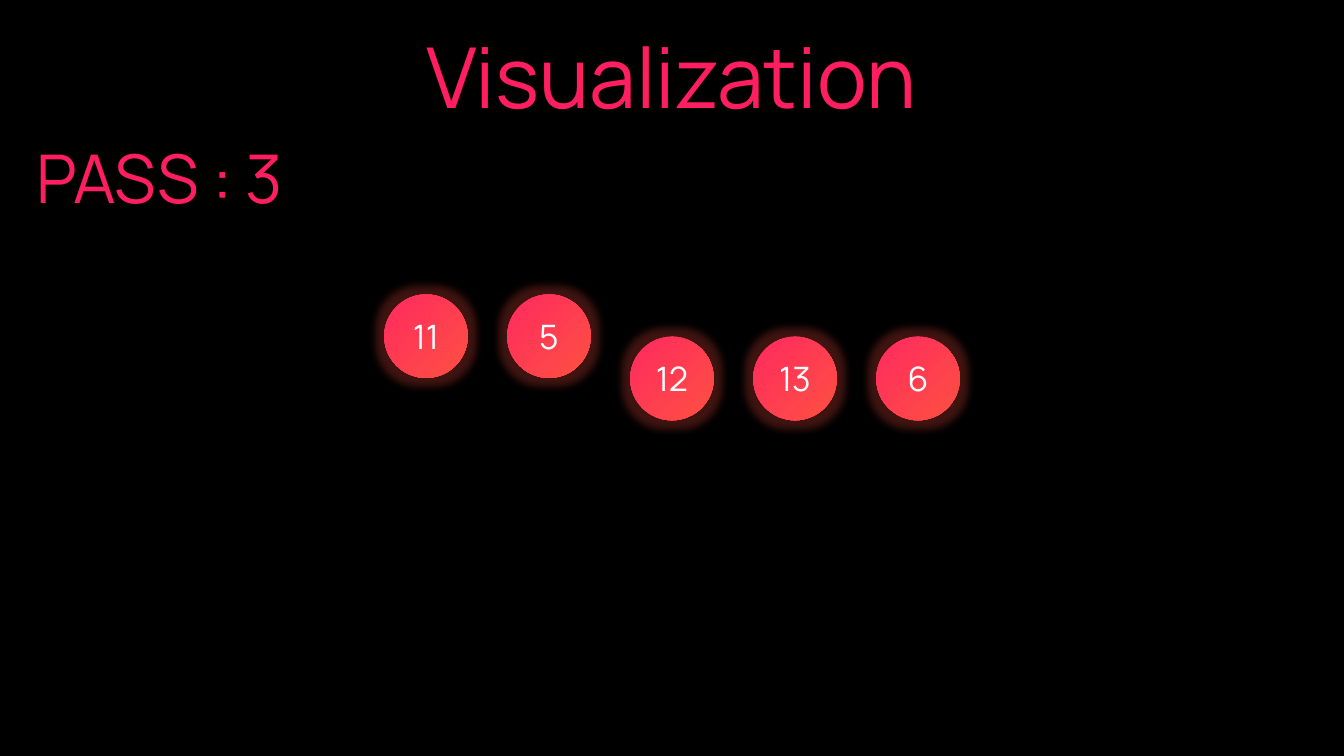
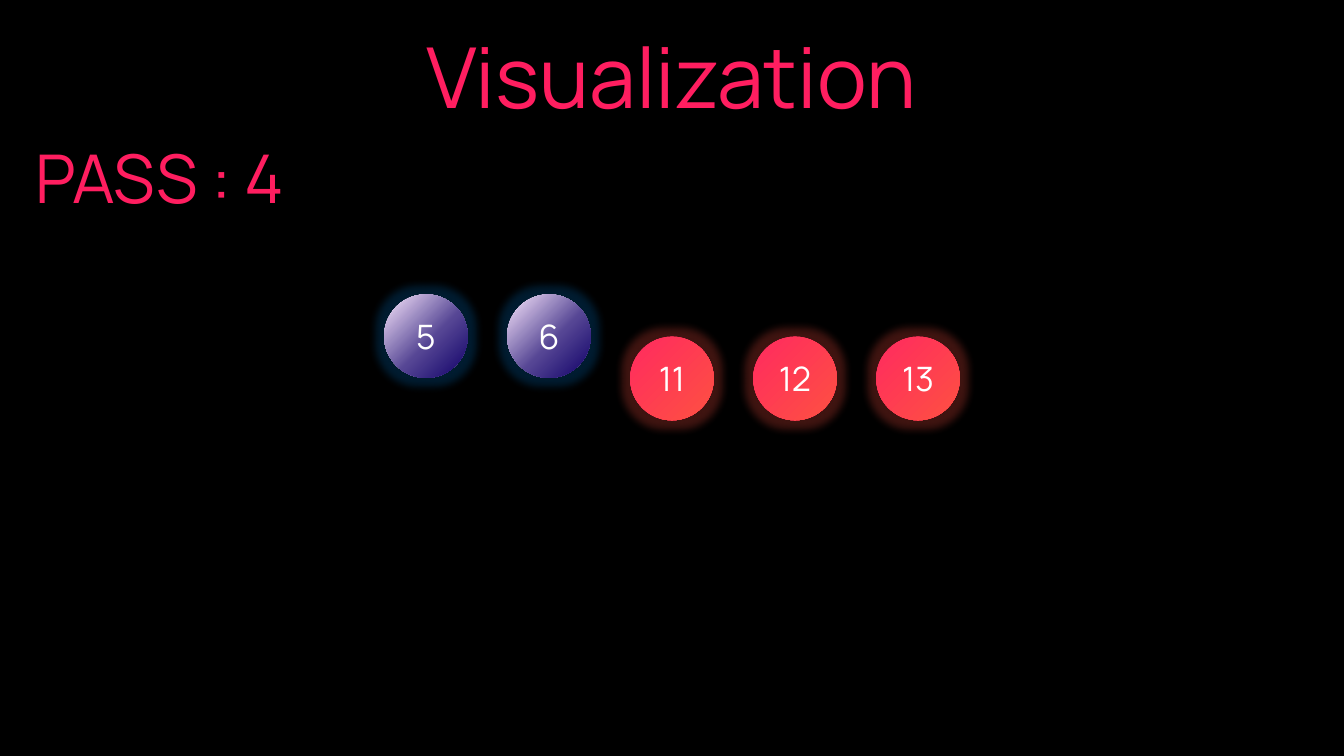
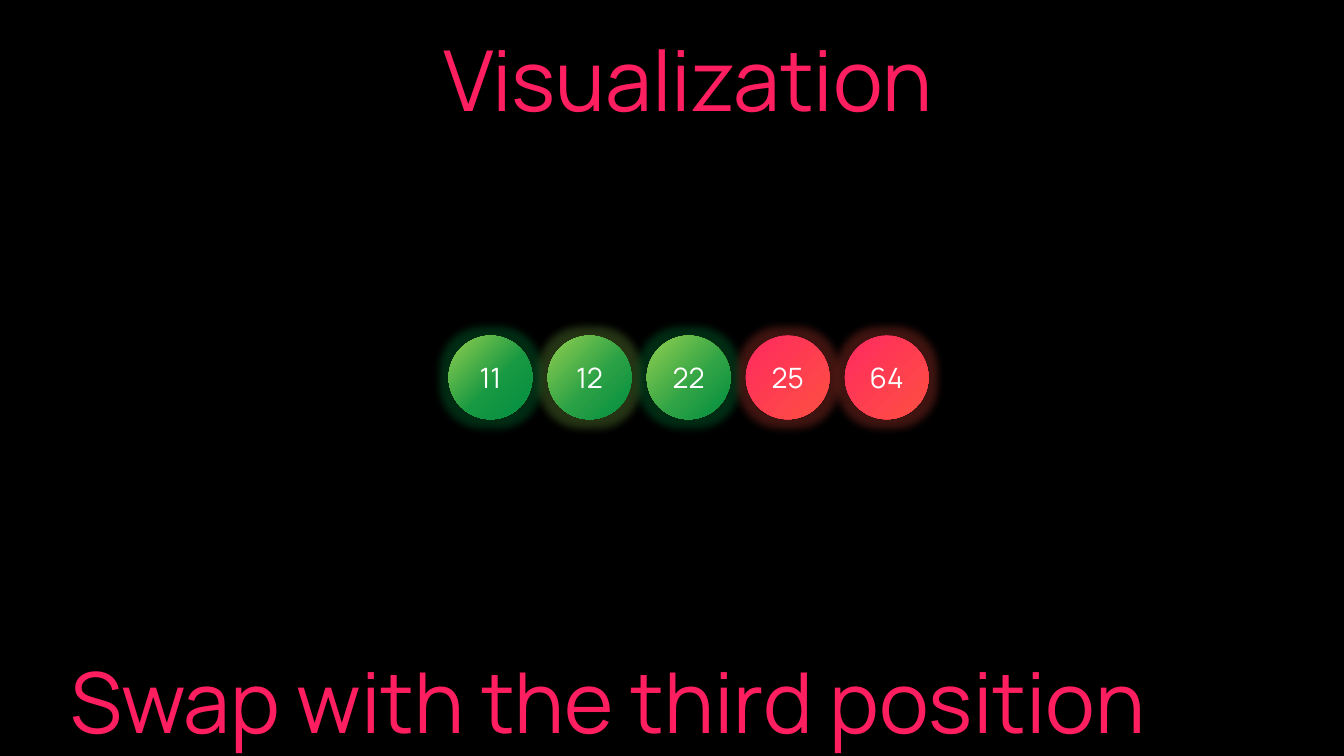
from dataclasses import dataclass

from lxml import etree
from pptx import Presentation
from pptx.dml.color import RGBColor
from pptx.enum.shapes import MSO_SHAPE
from pptx.enum.text import MSO_ANCHOR, MSO_AUTO_SIZE, PP_ALIGN
from pptx.oxml.ns import qn
from pptx.util import Inches, Pt

ELLIPSE = MSO_SHAPE.OVAL
MIDDLE = MSO_ANCHOR.MIDDLE
FIT_SHAPE = MSO_AUTO_SIZE.SHAPE_TO_FIT_TEXT
CENTER = PP_ALIGN.CENTER


@dataclass(frozen=True)
class BallStyle:
    """Gradient stops and glow colour of a ball."""
    stops: tuple
    glow: str


@dataclass(frozen=True)
class Theme:
    """Colours, type sizes and ball measures shared by the slides."""
    font: str = "Manrope"
    background: str = "000000"
    number: str = "FFFFFF"
    heading_stops: tuple = ((0, "FF1E60"), (100, "FE5140"))
    heading_size: int = 60
    pass_size: int = 48
    ball: float = 0.83
    glow_radius: int = 12
    glow_opacity: int = 25


THEME = Theme()
UNSORTED = BallStyle(((0, "FF2A5F"), (100, "FE5142")), "FE5142")
CURRENT = BallStyle(((0, "FCEAFF"), (56, "554594"), (100, "0F0068")), "0070C0")
FIRST_SORTED = BallStyle(((0, "92D050"), (57, "179842"), (100, "008E40")), "00B050")
SECOND_SORTED = BallStyle(((0, "92D050"), (56, "2BA145"), (100, "008E40")), "92D050")
THIRD_SORTED = BallStyle(((0, "92D050"), (58, "2FA345"), (100, "008E40")), "00B050")

TITLE_BOX = (3.81, 0.19, 5.71, 1.11)
SWAP_TITLE_BOX = (3.97, 0.22, 5.71, 1.11)
PASS_BOX = (0.18, 1.3, 2.81, 0.91)
CAPTION_BOX = (0, 6.39, 12.06, 1.11)
PASS_ROW = (3.81, 3.34, 5.71, 0.83)
SWAP_ROW = (4.45, 3.33, 4.76, 0.83)
LIFT = 0.42


def add_element(parent, tag, **attributes):
    """Append a drawing element to its parent."""
    return etree.SubElement(parent, qn(tag), {k: str(v) for k, v in attributes.items()})


def gradient(stops, radial=False):
    """Build a diagonal linear or corner-centred radial gradient."""
    fill = etree.Element(qn("a:gradFill"))
    stop_list = add_element(fill, "a:gsLst")
    for position, color in stops:
        stop = add_element(stop_list, "a:gs", pos=position * 1000)
        add_element(stop, "a:srgbClr", val=color)
    if radial:
        circle = etree.SubElement(fill, qn("a:path"), {"path": "circle"})
        add_element(circle, "a:fillToRect", t=100000, r=100000)
    else:
        add_element(fill, "a:lin", ang=45 * 60000, scaled=0)
    return fill


def add_run(frame, text, size):
    """Add a centred run to the first paragraph of a frame."""
    paragraph = frame.paragraphs[0]
    paragraph.alignment = CENTER
    run = paragraph.add_run()
    run.text = text
    run.font.size = Pt(size)
    run.font.name = THEME.font
    return run


def add_heading(slide, box, text, size=THEME.heading_size):
    """Place a pink gradient line of text centred in its box."""
    frame = slide.shapes.add_textbox(*map(Inches, box)).text_frame
    frame.word_wrap = False
    frame.auto_size = FIT_SHAPE
    run = add_run(frame, text, size)
    properties = run.font._element
    properties.insert(0, gradient(THEME.heading_stops, radial=True))


def add_ball(slide, left, top, number, style, size):
    """Draw a glowing numbered ball."""
    ball = slide.shapes.add_shape(
        ELLIPSE, Inches(left), Inches(top), Inches(THEME.ball), Inches(THEME.ball))
    ball.line.fill.background()
    ball.shadow.inherit = False
    properties = ball.element.spPr
    properties.find(qn("a:prstGeom")).addnext(gradient(style.stops))
    glow = add_element(properties.find(qn("a:effectLst")), "a:glow", rad=Pt(THEME.glow_radius))
    glow_color = add_element(glow, "a:srgbClr", val=style.glow)
    add_element(glow_color, "a:alpha", val=THEME.glow_opacity * 1000)
    frame = ball.text_frame
    frame.vertical_anchor = MIDDLE
    run = add_run(frame, str(number), size)
    run.font.color.rgb = RGBColor.from_string(THEME.number)


def add_ball_row(slide, box, balls, size, lifted=0):
    """Spread balls evenly over a box, raising the first ones."""
    left, top, width, _ = box
    pitch = (width - THEME.ball) / (len(balls) - 1)
    for index, (number, style) in enumerate(balls):
        ball_top = top - LIFT if index < lifted else top
        add_ball(slide, left + index * pitch, ball_top, number, style, size)


def add_slide(deck, title_box):
    """Add a black slide with its title."""
    slide = deck.slides.add_slide(deck.slide_layouts[6])
    fill = slide.background.fill
    fill.solid()
    fill.fore_color.rgb = RGBColor.from_string(THEME.background)
    add_heading(slide, title_box, "Visualization")
    return slide


def pass_slide(deck, number, balls):
    """Show one sorting pass with the compared pair raised."""
    slide = add_slide(deck, TITLE_BOX)
    add_ball_row(slide, PASS_ROW, balls, size=24, lifted=2)
    add_heading(slide, PASS_BOX, f"PASS : {number}", THEME.pass_size)


def swap_slide(deck, caption, balls):
    """Show the sorted part of a row with a caption below."""
    slide = add_slide(deck, SWAP_TITLE_BOX)
    add_ball_row(slide, SWAP_ROW, balls, size=20)
    add_heading(slide, CAPTION_BOX, caption)


def main():
    """Build and save the deck."""
    deck = Presentation()
    deck.slide_width, deck.slide_height = Inches(13.33), Inches(7.5)
    pass_slide(deck, 3, [(number, UNSORTED) for number in (11, 5, 12, 13, 6)])
    pass_slide(deck, 4, [(5, CURRENT), (6, CURRENT),
                         (11, UNSORTED), (12, UNSORTED), (13, UNSORTED)])
    swap_slide(deck, "Swap with the third position",
               [(11, FIRST_SORTED), (12, SECOND_SORTED), (22, THIRD_SORTED),
                (25, UNSORTED), (64, UNSORTED)])
    deck.save("out.pptx")


if __name__ == "__main__":
    main()
